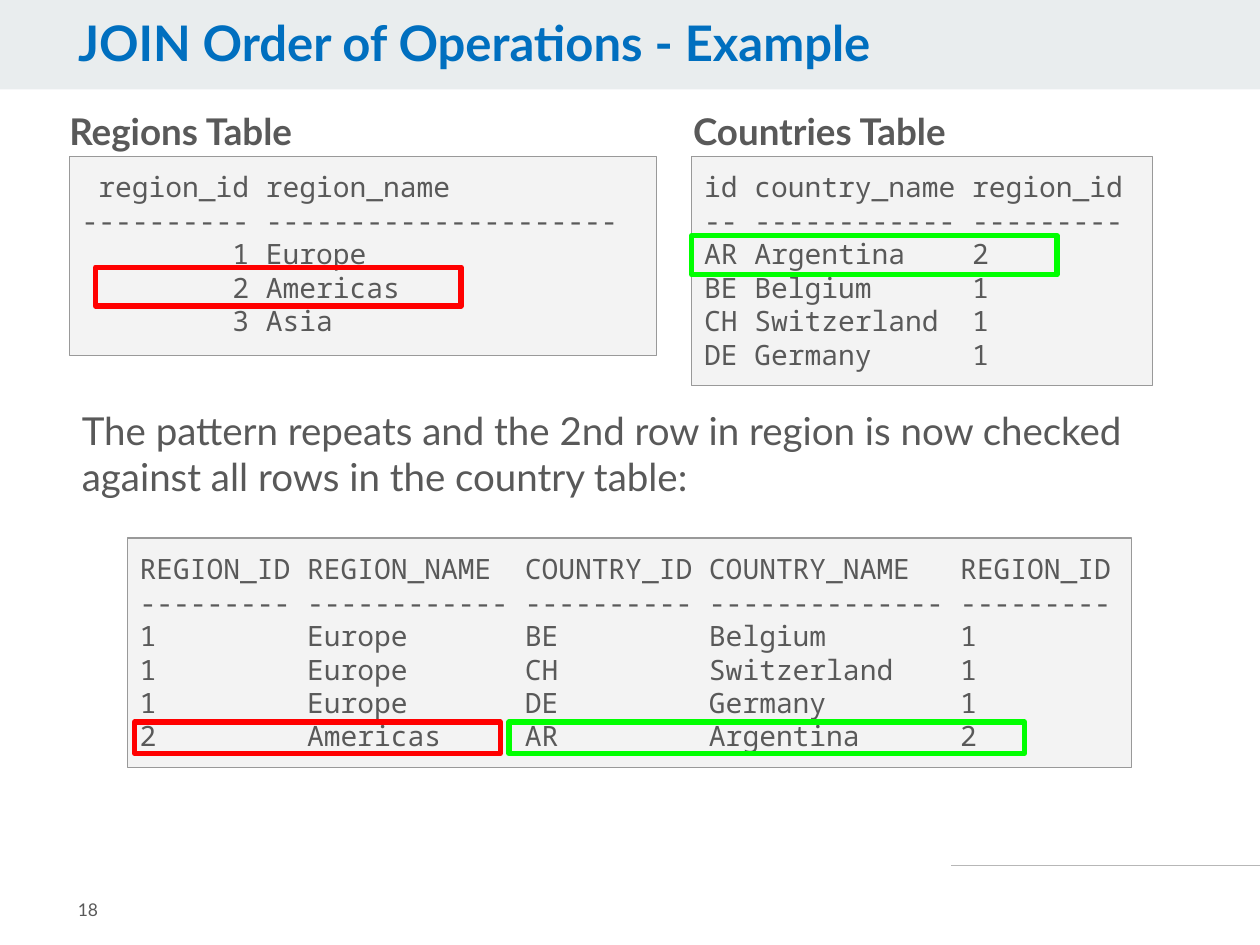
from pptx import Presentation
from pptx.dml.color import RGBColor
from pptx.enum.shapes import MSO_CONNECTOR as Connector, MSO_SHAPE as Shape
from pptx.enum.text import MSO_ANCHOR as Anchor, MSO_AUTO_SIZE as AutoSize, PP_ALIGN as Align
from pptx.oxml.ns import qn
from pptx.util import Inches, Pt

BLUE = RGBColor(0x00, 0x6F, 0xBF)
TEXT = RGBColor(0x59, 0x59, 0x59)
BAND = RGBColor(0xE9, 0xED, 0xEE)
PANEL = RGBColor(0xF3, 0xF3, 0xF3)
BORDER = RGBColor(0x99, 0x99, 0x99)
RULE = RGBColor(0xB7, 0xB7, 0xB7)
RED = RGBColor(0xFF, 0x00, 0x00)
GREEN = RGBColor(0x00, 0xFF, 0x00)
SANS, MONO = "Lato", "Noto Sans Mono"

REGIONS = [("region_id", "region_name"),
           ("1", "Europe"), ("2", "Americas"), ("3", "Asia")]
COUNTRIES = [("id", "country_name", "region_id"),
             ("AR", "Argentina", "2"), ("BE", "Belgium", "1"),
             ("CH", "Switzerland", "1"), ("DE", "Germany", "1")]
JOINED = [("REGION_ID", "REGION_NAME", "COUNTRY_ID", "COUNTRY_NAME", "REGION_ID"),
          ("1", "Europe", "BE", "Belgium", "1"),
          ("1", "Europe", "CH", "Switzerland", "1"),
          ("1", "Europe", "DE", "Germany", "1"),
          ("2", "Americas", "AR", "Argentina", "2")]


def place(box, area):
    box.left, box.top, box.width, box.height = map(Inches, area)


def write(box, lines, size, color=TEXT, font=SANS, bold=False, spacing=None,
          after=0, inset=0.05, anchor=Anchor.TOP):
    """Fill a box with one left-aligned paragraph per line."""
    frame = box.text_frame
    frame.word_wrap = True
    frame.auto_size = AutoSize.NONE
    frame.vertical_anchor = anchor
    frame.margin_left = frame.margin_right = Inches(0.1)
    frame.margin_top = frame.margin_bottom = Inches(inset)
    for index, line in enumerate(lines):
        para = frame.paragraphs[0] if index == 0 else frame.add_paragraph()
        para.alignment = Align.LEFT
        para.space_before, para.space_after = Pt(0), Pt(after)
        para.line_spacing = spacing
        span = para.add_run()
        span.text = line
        span.font.name, span.font.size = font, Pt(size)
        span.font.bold, span.font.color.rgb = bold, color


def fill_placeholder(box, area, text, size, **style):
    place(box, area)
    write(box, [text], size, **style)
    # No bullet and no hanging indent
    props = box.text_frame.paragraphs[0]._p.get_or_add_pPr()
    props.set("marL", "0")
    props.set("indent", "0")
    props.append(props.makeelement(qn("a:buNone"), {}))


def add_rect(page, area, fill=None, line=None, weight=0.75):
    box = page.shapes.add_shape(Shape.RECTANGLE, *map(Inches, area))
    box.shadow.inherit = False
    if fill is None:
        box.fill.background()
    else:
        box.fill.solid()
        box.fill.fore_color.rgb = fill
    if line is None:
        box.line.fill.background()
    else:
        box.line.color.rgb = line
        box.line.width = Pt(weight)
    return box


def add_listing(page, area, records, widths, right_first=False):
    """Query output: header, dashes, then rows padded to the column widths."""
    def pad(record):
        cells = [cell.ljust(width) for cell, width in zip(record, widths)]
        if right_first:
            cells[0] = record[0].rjust(widths[0])
        return " ".join(cells).rstrip()

    header, *rows = records
    dashes = ["-" * width for width in widths]
    box = add_rect(page, area, PANEL, BORDER)
    write(box, [pad(record) for record in (header, dashes, *rows)], 16,
          font=MONO, spacing=Pt(19.1), inset=0.11)


def add_rule(page, left, right, top):
    rule = page.shapes.add_connector(
        Connector.STRAIGHT, *map(Inches, (left, top, right, top)))
    rule.line.color.rgb = RULE
    rule.line.width = Pt(0.75)
    props = rule._element.spPr
    props.append(props.makeelement(qn("a:effectLst"), {}))


def main():
    deck = Presentation()
    deck.slide_width, deck.slide_height = Inches(10), Inches(7.5)
    page = deck.slides.add_slide(deck.slide_layouts.get_by_name("Comparison"))
    title, left_label, sentence, right_label, spare = page.placeholders
    spare._element.getparent().remove(spare._element)

    # Header band behind the title, footer rule and page number
    band = add_rect(page, (0, 0, 10, 0.71), BAND)
    title._element.addprevious(band._element)
    place(title, (0.52, 0.1, 7.88, 0.55))
    write(title, ["JOIN Order of Operations - Example"], 28, BLUE,
          bold=True, spacing=0.9)
    add_rule(page, 7.55, 10, 6.87)
    number = page.shapes.add_textbox(*map(Inches, (0.52, 6.93, 1.23, 0.57)))
    write(number, ["18"], 10, inset=0.1, anchor=Anchor.MIDDLE)

    # Labels and explanation
    fill_placeholder(left_label, (0.45, 0.81, 2.05, 0.42), "Regions Table",
                     21, bold=True, after=18)
    fill_placeholder(right_label, (5.4, 0.81, 2.9, 0.42), "Countries Table",
                     21, bold=True, after=18)
    fill_placeholder(sentence, (0.55, 3.18, 8.64, 0.93),
                     "The pattern repeats and the 2nd row in region is now "
                     "checked against all rows in the country table:",
                     22, after=18)

    # Source tables and join result
    add_listing(page, (0.55, 1.24, 4.66, 1.58), REGIONS, (10, 21), right_first=True)
    add_listing(page, (5.49, 1.24, 3.66, 1.82), COUNTRIES, (2, 12, 9))
    add_listing(page, (1.01, 4.27, 7.97, 1.82), JOINED, (9, 12, 10, 14, 9))

    # Matching rows: red for the region, green for the country
    for area, color in (((0.76, 2.12, 2.9, 0.31), RED),
                        ((5.49, 1.87, 2.9, 0.31), GREEN),
                        ((4.04, 5.73, 4.09, 0.25), GREEN),
                        ((1.07, 5.73, 2.9, 0.25), RED)):
        add_rect(page, area, line=color, weight=3)

    deck.save("out.pptx")


if __name__ == "__main__":
    main()
